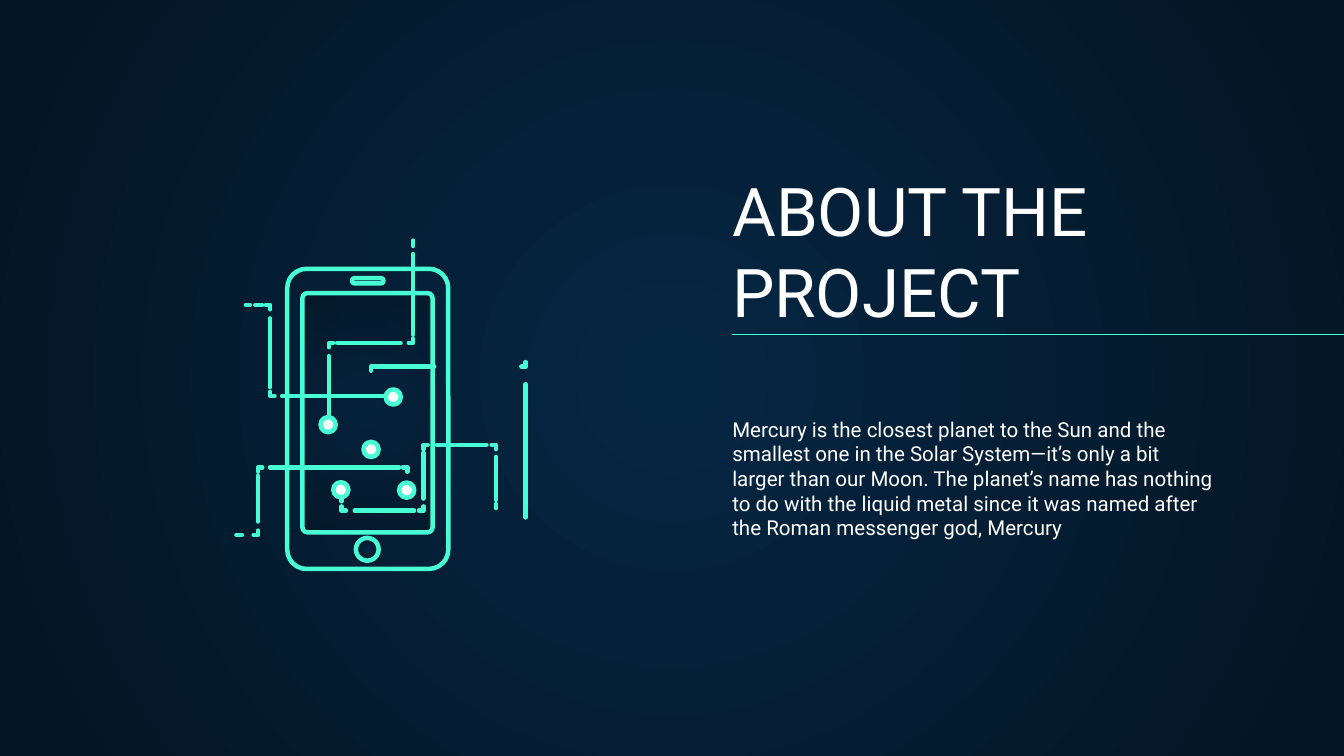
from lxml.etree import SubElement
from pptx import Presentation
from pptx.dml.color import RGBColor
from pptx.enum.shapes import MSO_CONNECTOR, MSO_SHAPE
from pptx.enum.text import MSO_ANCHOR
from pptx.oxml.ns import qn
from pptx.util import Pt

MINT, WHITE = "48FFD5", "FFFFFF"
NAVY, DARK_NAVY = "052643", "041523"
ELBOW_ARM = 2.3
DOT_SIZE = 8.1

color = RGBColor.from_string


def paint_radial(fill, element, alpha=100):
    """Fill with the navy gradient running outwards from the centre."""
    fill.gradient()
    gradient = element.find(".//" + qn("a:gradFill"))
    for stop, shade in zip(fill.gradient_stops, (NAVY, DARK_NAVY)):
        stop.color.rgb = color(shade)
    for shade in gradient.iter(qn("a:srgbClr")):
        SubElement(shade, qn("a:alpha"), val=str(alpha * 1000))
    gradient.remove(gradient.find(qn("a:lin")))
    circle = SubElement(gradient, qn("a:path"), path="circle")
    SubElement(circle, qn("a:fillToRect"), l="50000", t="50000", r="50000", b="50000")


def draw_outline(shape, width=2.4):
    """Give a shape or connector a mint line with round ends and no shadow."""
    shape.line.color.rgb = color(MINT)
    shape.line.width = Pt(width)
    properties = shape.element.spPr
    line = properties.find(qn("a:ln"))
    line.set("cap", "rnd")
    SubElement(line, qn("a:round"))
    SubElement(properties, qn("a:effectLst"))


deck = Presentation()
deck.slide_width, deck.slide_height = Pt(720), Pt(405)
page = deck.slides.add_slide(deck.slide_layouts[6])
paint_radial(page.background.fill, page.element)

# Title and description
texts = [
    ("ABOUT THE PROJECT", 136.8, 277.9, 47.5, 36, MSO_ANCHOR.BOTTOM),
    ("Mercury is the closest planet to the Sun and the smallest one in the Solar "
     "System—it’s only a bit larger than our Moon. The planet’s name has nothing to "
     "do with the liquid metal since it was named after the Roman messenger god, "
     "Mercury", 216, 272.2, 111.6, 11, MSO_ANCHOR.TOP),
]
for text, top, width, height, size, anchor in texts:
    box = page.shapes.add_textbox(Pt(385.2), Pt(top), Pt(width), Pt(height))
    frame = box.text_frame
    frame.word_wrap = True
    frame.vertical_anchor = anchor
    for side in ("left", "top", "right", "bottom"):
        setattr(frame, f"margin_{side}", Pt(7.2))
    span = frame.paragraphs[0].add_run()
    span.text = text
    for name, value in {"name": "Roboto", "size": Pt(size)}.items():
        setattr(span.font, name, value)
    span.font.color.rgb = color(WHITE)

title_rule = page.shapes.add_connector(
    MSO_CONNECTOR.STRAIGHT, Pt(392.4), Pt(179.2), Pt(742.3), Pt(179.2))
draw_outline(title_rule, 0.75)

# Phone: kind, left, top, width, height, corner, fill (None = empty, number = gradient alpha)
phone_parts = [
    (MSO_SHAPE.ROUNDED_RECTANGLE, 153.9, 144, 86.3, 160.8, 0.12, None),
    (MSO_SHAPE.ROUNDED_RECTANGLE, 162, 157, 69.8, 128.2, 0.04, 53),
    (MSO_SHAPE.OVAL, 190.7, 288.2, 12.2, 12.2, None, 100),
    (MSO_SHAPE.ROUNDED_RECTANGLE, 188.6, 149, 16.8, 2.9, 0.5, "161234"),
]
for kind, left, top, width, height, corner, fill in phone_parts:
    part = page.shapes.add_shape(kind, Pt(left), Pt(top), Pt(width), Pt(height))
    if corner:
        part.adjustments[0] = corner
    if fill is None:
        part.fill.background()
    elif isinstance(fill, str):
        part.fill.solid()
        part.fill.fore_color.rgb = color(fill)
    else:
        paint_radial(part.fill, part.element, fill)
    draw_outline(part)

# Circuit traces: dot centre, corner points, and the dashes along each leg
traces = [
    ((182.6, 262.4),
     [(183, 266.4), (183, 273.6), (226.8, 273.6), (226.8, 238.3), (265.7, 238.3),
      (265.7, 272.2)],
     [[(266.4, 268.6)], [(190.1, 221.8)], [(267.1, 242.6)], [(234, 260.6)],
      [(244.8, 267.8), (270, 272.2)]]),
    ((210.7, 212.7),
     [(131.8, 163.4), (144.7, 163.4), (144.7, 212.2), (209.5, 212.2)],
     [[(131.8, 133.9), (136.8, 140.4)], [(170.6, 207.4)],
      [(151.2, 205.2), (207.4, 209.5)]]),
    ((217.9, 262.6),
     [(126.7, 286.6), (138.2, 286.6), (138.2, 250.4), (218.2, 250.4), (218.2, 261.4)],
     [[(126.7, 129.6)], [(279.4, 254.9)], [(144.7, 213.8)], [(259.2, 261.4)]]),
    ((198.8, 240.8),
     [(198.8, 239), (198.8, 196.3), (281.6, 196.3), (281.6, 180.7)],
     [[(239, 236.9)], [(232.6, 200.9)], [(205.9, 277.2)],
      [(190.1, 185), (183.6, 180.7)]]),
    ((175.8, 227.5),
     [(221.3, 128.9), (221.3, 183.7), (176.2, 183.7), (176.2, 227.5)],
     [[(128.9, 131.8), (136.1, 179.3)], [(214.6, 180.7)],
      [(190.8, 222.5), (224.6, 227.5)]]),
]
for (dot_x, dot_y), corners, legs in traces:
    for (x1, y1), (x2, y2), dashes in zip(corners, corners[1:], legs):
        for begin, end in dashes:
            ends = (x1, begin, x1, end) if x1 == x2 else (begin, y1, end, y1)
            dash = page.shapes.add_connector(MSO_CONNECTOR.STRAIGHT, *map(Pt, ends))
            draw_outline(dash)

    for before, corner, after in zip(corners, corners[1:], corners[2:]):
        x, y = corner
        arms = [
            (Pt(x + ELBOW_ARM * ((nx > x) - (nx < x))),
             Pt(y + ELBOW_ARM * ((ny > y) - (ny < y))))
            for nx, ny in (before, after)
        ]
        builder = page.shapes.build_freeform(*arms[0])
        builder.add_line_segments([(Pt(x), Pt(y)), arms[1]], close=False)
        elbow = builder.convert_to_shape()
        elbow.fill.background()
        draw_outline(elbow)

    dot = page.shapes.add_shape(
        MSO_SHAPE.OVAL, Pt(dot_x - DOT_SIZE / 2), Pt(dot_y - DOT_SIZE / 2),
        Pt(DOT_SIZE), Pt(DOT_SIZE))
    dot.fill.solid()
    dot.fill.fore_color.rgb = color(WHITE)
    draw_outline(dot)

deck.save("out.pptx")
